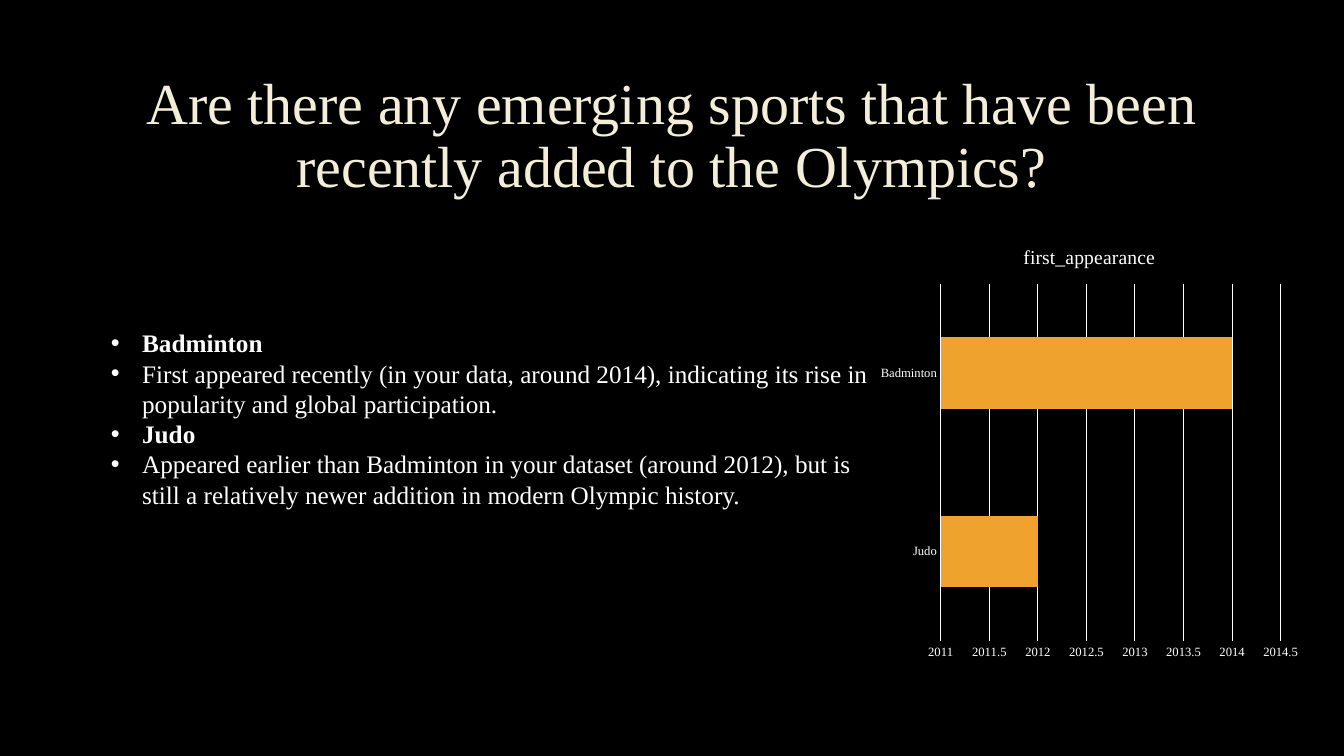
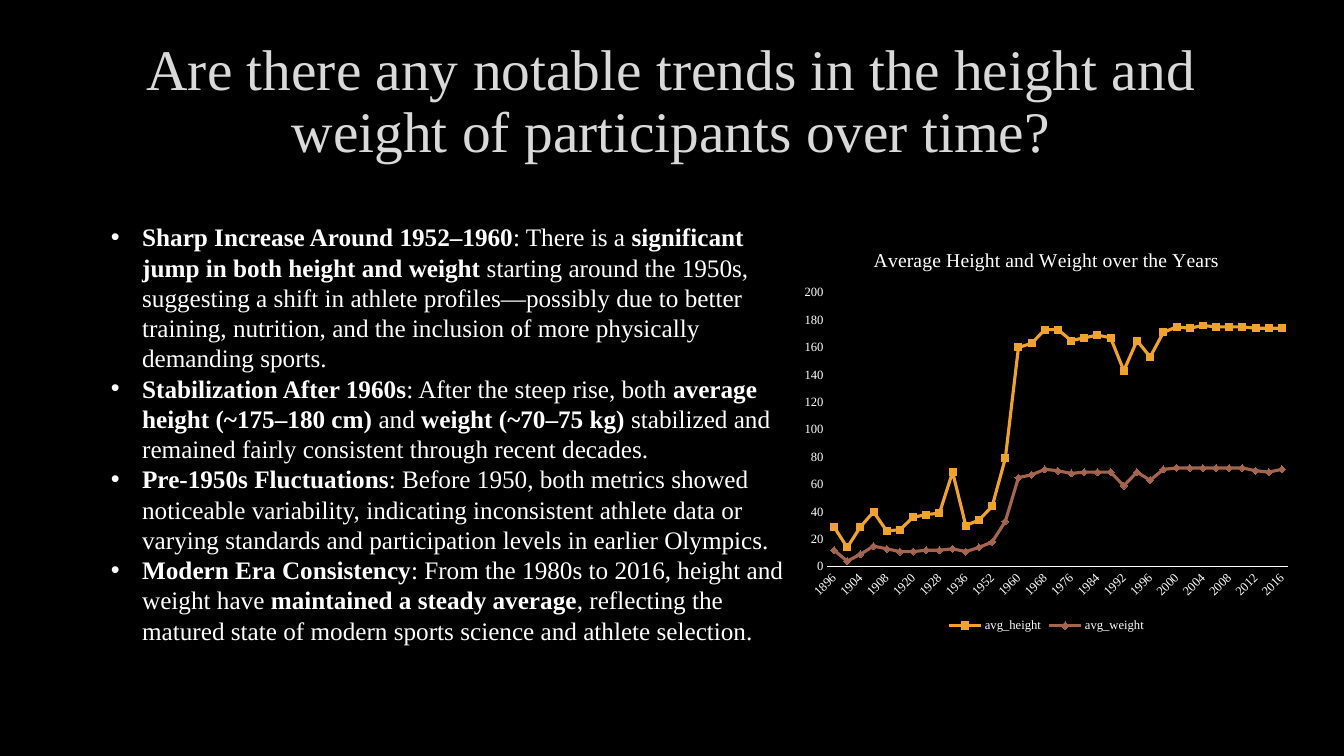
"""Build two slides of Olympic findings, each with a title, bullets and a chart."""
from lxml import etree
from pptx import Presentation
from pptx.chart.data import CategoryChartData
from pptx.dml.color import RGBColor
from pptx.enum.chart import XL_CHART_TYPE, XL_LEGEND_POSITION, XL_TICK_MARK
from pptx.enum.text import MSO_ANCHOR, MSO_AUTO_SIZE, PP_ALIGN
from pptx.oxml.ns import qn
from pptx.util import Inches, Pt

BAR, LINE = XL_CHART_TYPE.BAR_STACKED, XL_CHART_TYPE.LINE
LEGEND_BOTTOM = XL_LEGEND_POSITION.BOTTOM
NO_TICK = XL_TICK_MARK.NONE
MIDDLE, CENTER, LEFT = MSO_ANCHOR.MIDDLE, PP_ALIGN.CENTER, PP_ALIGN.LEFT
NO_FIT = MSO_AUTO_SIZE.NONE

FONT = "Times New Roman"
BLACK, WHITE = "000000", "FFFFFF"
SERIES_COLORS = ("F0A22E", "A5644E")
BOLD_MARK = "**"

SLIDES = [
    {
        "title": "Are there any emerging sports that have been recently added to the Olympics?",
        "title_format": {"size": 41.4, "color": "F4EDD8"},
        "title_box": (1, 0.67, 11.32, 1.38),
        "bullets": [
            "**Badminton**",
            "First appeared recently (in your data, around 2014), indicating its rise in "
            "popularity and global participation.",
            "**Judo**",
            "Appeared earlier than Badminton in your dataset (around 2012), but is still "
            "a relatively newer addition in modern Olympic history.",
        ],
        "body_box": (1, 3.04, 7.77, 2.22),
        "chart": {
            "type": BAR,
            "box": (8.65, 2.25, 4.31, 4.38),
            "title": "first_appearance",
            "categories": ["Judo", "Badminton"],
            "series": {"first_appearance": [2012, 2014]},
            "scale": {"minimum_scale": 2011, "maximum_scale": 2014.5, "major_unit": 0.5},
        },
    },
    {
        "title": "Are there any notable trends in the height and weight of participants over time?",
        "title_format": {"size": 41, "color": "D9D9D9"},
        "title_box": (1, 0.33, 11.32, 1.38),
        "bullets": [
            "**Sharp Increase Around 1952–1960**: There is a **significant jump in both "
            "height and weight** starting around the 1950s, suggesting a shift in athlete "
            "profiles—possibly due to better training, nutrition, and the inclusion of "
            "more physically demanding sports.",
            "**Stabilization After 1960s**: After the steep rise, both **average height "
            "(~175–180 cm)** and **weight (~70–75 kg)** stabilized and remained fairly "
            "consistent through recent decades.",
            "**Pre-1950s Fluctuations**: Before 1950, both metrics showed noticeable "
            "variability, indicating inconsistent athlete data or varying standards and "
            "participation levels in earlier Olympics.",
            "**Modern Era Consistency**: From the 1980s to 2016, height and weight have "
            "**maintained a steady average**, reflecting the matured state of modern "
            "sports science and athlete selection.",
        ],
        "body_box": (1, 2.28, 7.06, 4.04),
        "chart": {
            "type": LINE,
            "box": (7.88, 2.28, 5, 4.04),
            "title": "Average Height and Weight over the Years",
            "categories": [
                "1896", "1900", "1904", "1906", "1908", "1912", "1920", "1924", "1928",
                "1932", "1936", "1948", "1952", "1956", "1960", "1964", "1968", "1972",
                "1976", "1980", "1984", "1988", "1992", "1994", "1996", "1998", "2000",
                "2002", "2004", "2006", "2008", "2010", "2012", "2014", "2016",
            ],
            "series": {
                "avg_height": [
                    29, 14, 29, 40, 26, 27, 36, 38, 39, 69, 30, 34, 44, 79, 160, 163, 173,
                    173, 165, 167, 169, 167, 143, 165, 153, 171, 175, 174, 176, 175, 175,
                    175, 174, 174, 174,
                ],
                "avg_weight": [
                    12, 4, 9, 15, 13, 11, 11, 12, 12, 13, 11, 14, 18, 33, 65, 67, 71, 70,
                    68, 69, 69, 69, 59, 69, 63, 71, 72, 72, 72, 72, 72, 72, 70, 69, 71,
                ],
            },
            "scale": {"minimum_scale": 0, "maximum_scale": 200, "major_unit": 20},
        },
    },
]


def rgb(color):
    return RGBColor.from_string(color)


def set_values(target, values):
    for name, value in values.items():
        setattr(target, name, value)


def set_font(font, size, color=WHITE, bold=False):
    set_values(font, {"name": FONT, "size": Pt(size), "bold": bold})
    font.color.rgb = rgb(color)


def set_line(line, color, width):
    line.color.rgb = rgb(color)
    line.width = Pt(width)


def place(shape, box):
    sides = map(Inches, box)
    set_values(shape, dict(zip(("left", "top", "width", "height"), sides)))
    set_values(shape.text_frame, {
        "vertical_anchor": MIDDLE, "word_wrap": True, "auto_size": NO_FIT})


def fill_title(shape, text, text_format, box):
    place(shape, box)
    paragraph = shape.text_frame.paragraphs[0]
    set_values(paragraph, {"alignment": CENTER, "line_spacing": 0.9})
    run = paragraph.add_run()
    run.text = text
    set_font(run.font, **text_format)


def add_bullet(paragraph):
    properties = paragraph._p.get_or_add_pPr()
    properties.set("marL", str(Inches(0.31)))
    properties.set("indent", str(Inches(-0.31)))
    etree.SubElement(properties, qn("a:buFont")).set("typeface", "Arial")
    etree.SubElement(properties, qn("a:buChar")).set("char", "•")


def fill_bullets(shape, bullets, box):
    place(shape, box)
    frame = shape.text_frame
    for number, bullet in enumerate(bullets):
        paragraph = frame.add_paragraph() if number else frame.paragraphs[0]
        add_bullet(paragraph)
        set_values(paragraph, {
            "alignment": LEFT, "line_spacing": 1.0,
            "space_before": Pt(0), "space_after": Pt(0)})
        for position, text in enumerate(bullet.split(BOLD_MARK)):
            if text:
                run = paragraph.add_run()
                run.text = text
                set_font(run.font, 18, bold=position % 2 == 1)


def format_axes(chart, scale):
    for axis in (chart.category_axis, chart.value_axis):
        set_values(axis, {
            "major_tick_mark": NO_TICK, "minor_tick_mark": NO_TICK,
            "has_major_gridlines": False})
        set_font(axis.tick_labels.font, 9)
    set_line(chart.category_axis.format.line, WHITE, 0.75)
    set_values(chart.value_axis, scale)
    chart.value_axis.format.line.fill.background()


def format_bars(chart):
    set_values(chart.plots[0], {"gap_width": 150, "overlap": 100})
    set_line(chart.value_axis.major_gridlines.format.line, WHITE, 0.75)
    for series, color in zip(chart.plots[0].series, SERIES_COLORS):
        series.format.fill.solid()
        series.format.fill.fore_color.rgb = rgb(color)


def format_lines(chart):
    chart.category_axis._element.txPr.bodyPr.set("rot", "-2700000")
    chart.has_legend = True
    set_values(chart.legend, {"position": LEGEND_BOTTOM, "include_in_layout": False})
    set_font(chart.legend.font, 9)
    for series, color in zip(chart.plots[0].series, SERIES_COLORS):
        series.smooth = False
        series.marker.style = None
        set_line(series.format.line, color, 2.25)


def add_chart(slide, content):
    data = CategoryChartData()
    data.categories = content["categories"]
    for name, values in content["series"].items():
        data.add_series(name, values)
    chart = slide.shapes.add_chart(
        content["type"], *map(Inches, content["box"]), data).chart
    set_font(chart.font, 10)
    chart.has_legend = False
    chart.plots[0].vary_by_categories = False
    title_frame = chart.chart_title.text_frame
    title_frame.text = content["title"]
    set_font(title_frame.paragraphs[0].runs[0].font, 14)
    format_axes(chart, content["scale"])
    if content["type"] == BAR:
        format_bars(chart)
    else:
        format_lines(chart)


def main():
    presentation = Presentation()
    set_values(presentation, {"slide_width": Inches(13.33), "slide_height": Inches(7.5)})
    background = presentation.slide_master.background.fill
    background.solid()
    background.fore_color.rgb = rgb(BLACK)
    layout = presentation.slide_layouts.get_by_name("Title and Content")
    for content in SLIDES:
        slide = presentation.slides.add_slide(layout)
        fill_title(slide.shapes.title, content["title"], content["title_format"],
                   content["title_box"])
        fill_bullets(slide.placeholders[1], content["bullets"], content["body_box"])
        add_chart(slide, content["chart"])
    presentation.save("out.pptx")


if __name__ == "__main__":
    main()
